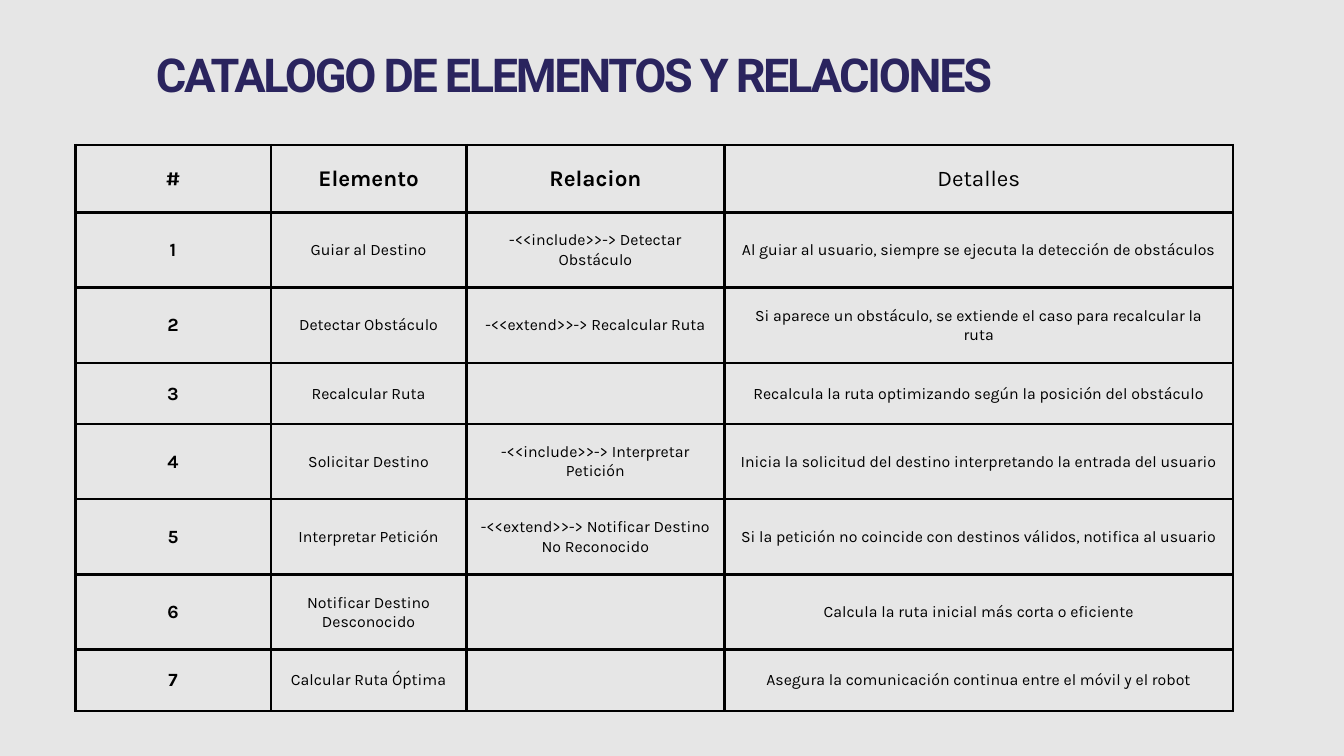
import dataclasses
import pptx
import pptx.dml.color
import pptx.enum.text
import pptx.oxml
import pptx.oxml.ns
import pptx.util
from pptx.util import Inches


@dataclasses.dataclass(frozen=True)
class Theme:
    background: str = "E6E6E6"
    title_color: str = "2A245E"
    ink: str = "000000"
    title_font: str = "Roboto"
    table_font: str = "Karla"
    title_size: int = 50
    header_size: int = 24
    number_size: int = 20
    detail_size: int = 17
    border_width: int = 3


theme = Theme()
Align = pptx.enum.text.PP_ALIGN
Anchor = pptx.enum.text.MSO_ANCHOR


def write_text(frame, text, *, size, font, color, leading, bold=False, align=Align.LEFT, spacing=None):
    para = frame.paragraphs[0]
    para.alignment = align
    para.line_spacing = pptx.util.Pt(leading)
    span = para.add_run()
    span.text = text
    span.font.size = pptx.util.Pt(size)
    span.font.name = font
    span.font.bold = bold
    span.font.color.rgb = pptx.dml.color.RGBColor.from_string(color)
    if spacing is not None:
        span.font._element.set("spc", str(int(spacing * 100)))


def add_borders(cell, color, width):
    properties = cell._tc.get_or_add_tcPr()
    for side in ("lnL", "lnR", "lnT", "lnB"):
        properties.append(pptx.oxml.parse_xml(
            f'<a:{side} {pptx.oxml.ns.nsdecls("a")} w="{pptx.util.Pt(width)}">'
            f'<a:solidFill><a:srgbClr val="{color}"/></a:solidFill></a:{side}>'
        ))


deck = pptx.Presentation()
deck.slide_width = Inches(20)
deck.slide_height = Inches(11.25)
page = deck.slides.add_slide(deck.slide_layouts[5])
page.background.fill.solid()
page.background.fill.fore_color.rgb = pptx.dml.color.RGBColor.from_string(theme.background)

title = page.shapes.title
title.left, title.top = Inches(2.32), Inches(0.61)
title.width, title.height = Inches(15.35), Inches(0.88)
frame = title.text_frame
frame.margin_left = frame.margin_right = frame.margin_top = frame.margin_bottom = 0
frame.vertical_anchor = Anchor.TOP
frame.word_wrap = True
frame.auto_size = pptx.enum.text.MSO_AUTO_SIZE.SHAPE_TO_FIT_TEXT
write_text(frame, "CATALOGO DE ELEMENTOS Y RELACIONES", size=theme.title_size, font=theme.title_font,
           color=theme.title_color, leading=65, bold=True, spacing=-2.5)

catalog = [
    ("#", "Elemento", "Relacion", "Detalles"),
    ("1", "Guiar al Destino", "-<<include>>-> Detectar Obstáculo",
     "Al guiar al usuario, siempre se ejecuta la detección de obstáculos"),
    ("2", "Detectar Obstáculo", "-<<extend>>-> Recalcular Ruta",
     "Si aparece un obstáculo, se extiende el caso para recalcular la ruta"),
    ("3", "Recalcular Ruta", "",
     "Recalcula la ruta optimizando según la posición del obstáculo"),
    ("4", "Solicitar Destino", "-<<include>>-> Interpretar Petición",
     "Inicia la solicitud del destino interpretando la entrada del usuario"),
    ("5", "Interpretar Petición", "-<<extend>>-> Notificar Destino No Reconocido",
     "Si la petición no coincide con destinos válidos, notifica al usuario"),
    ("6", "Notificar Destino Desconocido", "",
     "Calcula la ruta inicial más corta o eficiente"),
    ("7", "Calcular Ruta Óptima", "",
     "Asegura la comunicación continua entre el móvil y el robot"),
]
column_widths = [2.91, 2.91, 3.84, 7.57]
row_heights = [1, 1.12, 1.12, 0.91, 1.12, 1.12, 1.12, 0.91]

table = page.shapes.add_table(
    len(row_heights), len(column_widths), Inches(1.12), Inches(2.16),
    Inches(sum(column_widths)), Inches(sum(row_heights)),
).table
table.first_row = False
table.horz_banding = False
for column, width in zip(table.columns, column_widths):
    column.width = Inches(width)
for row, height in zip(table.rows, row_heights):
    row.height = Inches(height)

for row_index, entries in enumerate(catalog):
    for column_index, text in enumerate(entries):
        cell = table.cell(row_index, column_index)
        cell.margin_left = cell.margin_right = cell.margin_top = cell.margin_bottom = Inches(0.21)
        cell.vertical_anchor = Anchor.MIDDLE
        add_borders(cell, theme.ink, theme.border_width)
        cell.fill.background()
        if row_index == 0:
            size, leading, bold = theme.header_size, 29.3, column_index < 3
        elif column_index == 0:
            size, leading, bold = theme.number_size, 24.4, True
        else:
            size, leading, bold = theme.detail_size, 20.7, False
        if text:
            write_text(cell.text_frame, text, size=size, font=theme.table_font, color=theme.ink,
                       leading=leading, bold=bold, align=Align.CENTER)

deck.save("out.pptx")
